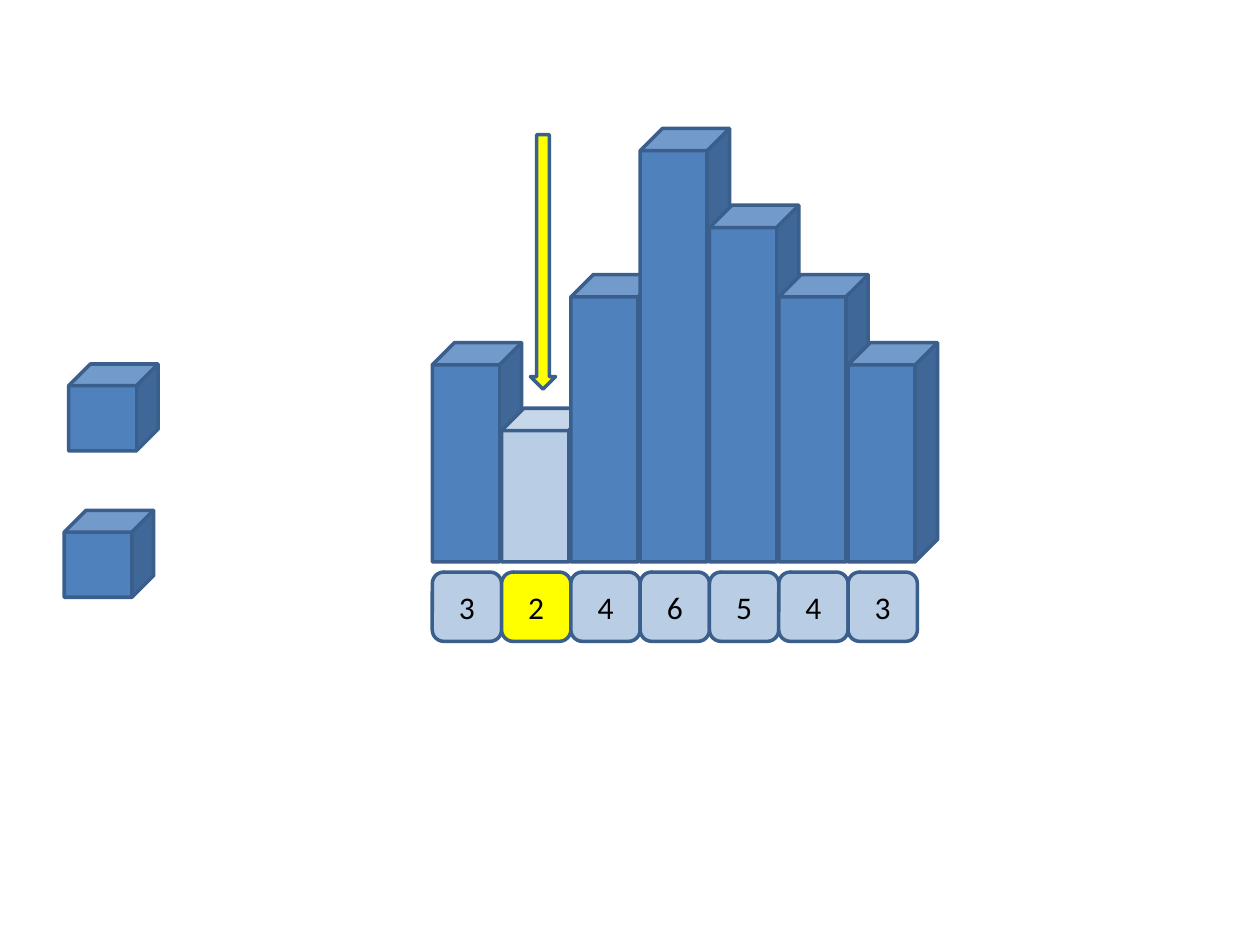
from dataclasses import dataclass

from pptx import Presentation
from pptx.dml.color import RGBColor
from pptx.enum.shapes import MSO_SHAPE as Shape
from pptx.enum.text import MSO_ANCHOR as Anchor, PP_ALIGN as Align
from pptx.util import Pt


@dataclass(frozen=True)
class Theme:
    bar: str = "4F81BD"
    pale: str = "B9CDE5"
    highlight: str = "FFFF00"
    outline: str = "3A5F8C"
    text: str = "000000"
    font: str = "Calibri"
    text_size: float = 18
    line_width: float = 2


THEME = Theme()
VALUES = [3, 2, 4, 6, 5, 4, 3]
CURRENT = 1  # index of the highlighted value
BAR_HEIGHTS = {2: 87.8, 3: 125.3, 4: 164.2, 5: 203.8, 6: 247.7}
PITCH = 39.6
CUBE_WIDTH = 51.1


def add_block(page, kind, left, top, width, height, fill):
    block = page.shapes.add_shape(kind, Pt(left), Pt(top), Pt(width), Pt(height))
    block.shadow.inherit = False
    block.fill.solid()
    block.fill.fore_color.rgb = RGBColor.from_string(fill)
    block.line.color.rgb = RGBColor.from_string(THEME.outline)
    block.line.width = Pt(THEME.line_width)
    return block


def write_text(block, text, size=THEME.text_size, color=THEME.text,
               align=Align.CENTER, anchor=Anchor.MIDDLE):
    frame = block.text_frame
    frame.vertical_anchor = anchor
    para = frame.paragraphs[0]
    para.alignment = align
    span = para.add_run()
    span.text = text
    span.font.name = THEME.font
    span.font.size = Pt(size)
    span.font.color.rgb = RGBColor.from_string(color)


def add_array(page, left, top):
    """Row of square cells holding the values."""
    for index, value in enumerate(VALUES):
        fill = THEME.highlight if index == CURRENT else THEME.pale
        cell = add_block(page, Shape.ROUNDED_RECTANGLE,
                         left + index * PITCH, top, PITCH, PITCH, fill)
        write_text(cell, str(value))


def add_bars(page, left, bottom):
    """Cube bars standing on one base line, each overlapping the one before."""
    for index, value in enumerate(VALUES):
        height = BAR_HEIGHTS[value]
        fill = THEME.pale if index == CURRENT else THEME.bar
        add_block(page, Shape.CUBE, left + index * PITCH, bottom - height,
                  CUBE_WIDTH, height, fill)


def add_spare_cubes(page, positions):
    """Loose unit cubes beside the bars."""
    for left, top in positions:
        add_block(page, Shape.CUBE, left, top, CUBE_WIDTH, 49.7, THEME.bar)


def add_pointer(page, left, top, width, height):
    """Arrow pointing down at the current bar."""
    add_block(page, Shape.DOWN_ARROW, left, top, width, height, THEME.highlight)


def main():
    deck = Presentation()
    deck.slide_width, deck.slide_height = Pt(720), Pt(540)
    page = deck.slides.add_slide(deck.slide_layouts[6])

    add_array(page, left=247, top=326.9)
    add_bars(page, left=247, bottom=321.1)
    add_spare_cubes(page, [(36.7, 291.6), (39.2, 208)])
    add_pointer(page, left=303.1, top=77, width=14.4, height=145.4)

    deck.save("out.pptx")


if __name__ == "__main__":
    main()
